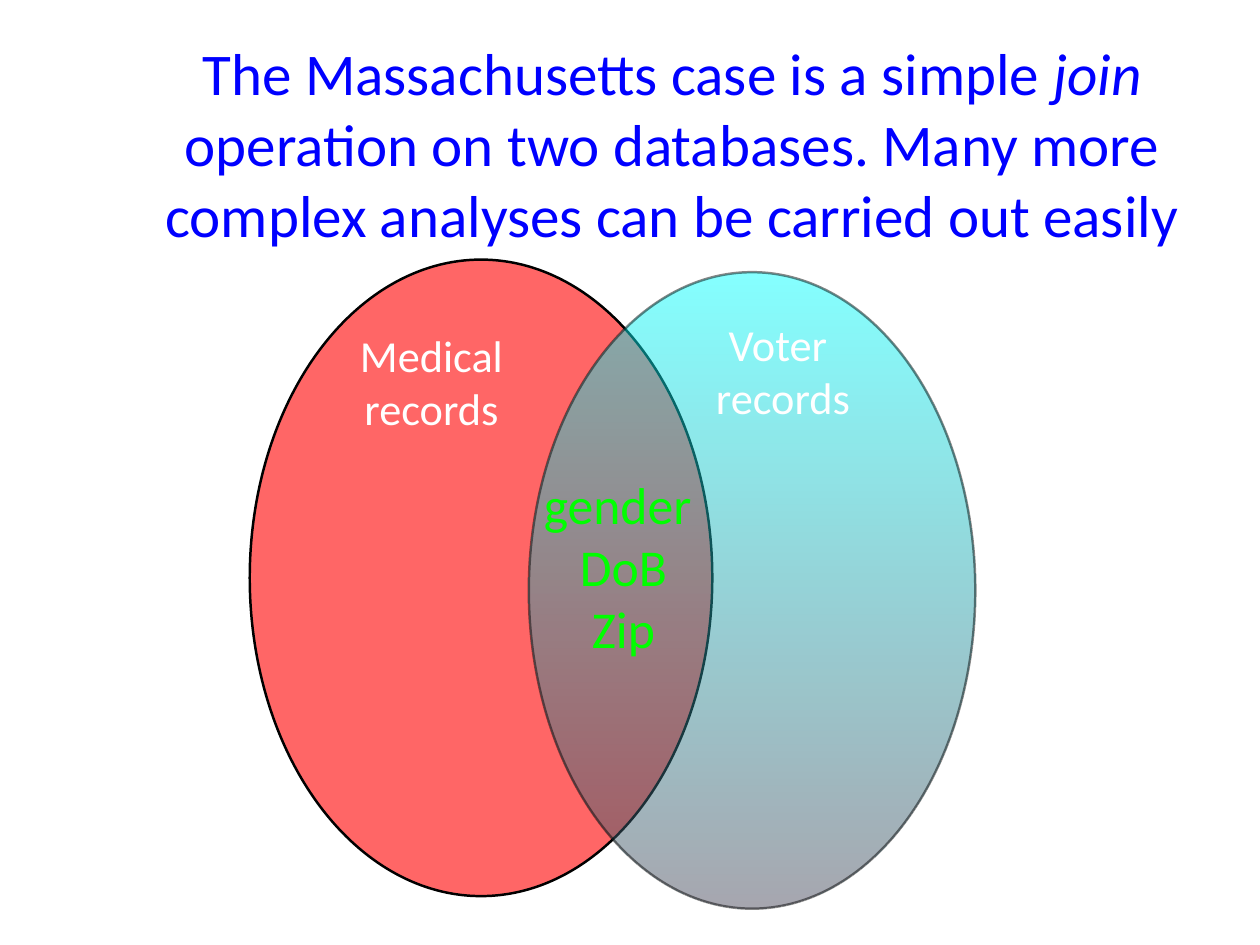
import pptx
import pptx.dml.color
import pptx.enum.shapes
import pptx.enum.text
import pptx.util
from lxml import etree
from pptx.oxml.ns import qn
from pptx.util import Cm

# Content: boxes are left, top, width, height in cm
SLIDE_SIZE = 36.12, 27.08
FONT = "Calibri"
OPACITY = 47  # percent, for the voter circle

HEADLINE_BOX = 3.53, 0.71, 31.47, 6.78
HEADLINE = [
    ("The Massachusetts case is a simple ", False),
    ("join ", True),
    ("operation on two databases. Many more complex analyses "
     "can be carried out easily", False),
]
MEDICAL_CIRCLE = 7.16, 7.44, 13.26, 18.24
VOTER_CIRCLE = 15.16, 7.8, 12.8, 18.24
VOTER_GRADIENT = "00FFFF", "464658"
LABELS = [
    ((10.06, 9.4, 4.62, 3.05), ["Medical", "records"], 36, "FFFFFF"),
    ((20.17, 9.09, 4.55, 3.05), ["Voter ", "records"], 36, "FFFFFF"),
    ((15.19, 13.54, 5.03, 5.33), ["gender", " DoB", " Zip"], 42, "00FF00"),
]


def rgb(value):
    return pptx.dml.color.RGBColor.from_string(value)


def add_frame(box, inset, wrap):
    frame = slide.shapes.add_textbox(*map(Cm, box)).text_frame
    frame.word_wrap = wrap
    frame.vertical_anchor = pptx.enum.text.MSO_ANCHOR.MIDDLE
    frame.margin_left = frame.margin_right = Cm(inset)
    frame.margin_top = frame.margin_bottom = Cm(inset)
    return frame


def style(paragraph, size, colour):
    paragraph.alignment = pptx.enum.text.PP_ALIGN.CENTER
    paragraph.font.name = FONT
    paragraph.font.size = pptx.util.Pt(size)
    paragraph.font.color.rgb = rgb(colour)


def add_circle(box):
    circle = slide.shapes.add_shape(
        pptx.enum.shapes.MSO_SHAPE.OVAL, *map(Cm, box))
    circle.shadow.inherit = False
    circle.line.color.rgb = rgb("000000")
    circle.line.width = pptx.util.Pt(2)
    return circle


presentation = pptx.Presentation()
presentation.slide_width, presentation.slide_height = map(Cm, SLIDE_SIZE)
slide = presentation.slides.add_slide(presentation.slide_layouts[6])

# Headline
headline = add_frame(HEADLINE_BOX, 0.15, True).paragraphs[0]
for text, italic in HEADLINE:
    run = headline.add_run()
    run.text = text
    run.font.italic = italic
style(headline, 48, "0000FF")

# Overlapping circles
medical = add_circle(MEDICAL_CIRCLE)
medical.fill.solid()
medical.fill.fore_color.rgb = rgb("FF6666")

voter = add_circle(VOTER_CIRCLE)
voter.fill.gradient()
voter.fill.gradient_angle = 270
for stop, colour in zip(voter.fill.gradient_stops, VOTER_GRADIENT):
    stop.color.rgb = rgb(colour)
for colour_element in voter.element.spPr.iter(qn("a:srgbClr")):
    etree.SubElement(colour_element, qn("a:alpha"), val=str(OPACITY * 1000))

# Labels
for box, lines, size, colour in LABELS:
    label = add_frame(box, 0, False)
    label.text = "\n".join(lines)
    for line in label.paragraphs:
        style(line, size, colour)

presentation.save("out.pptx")
